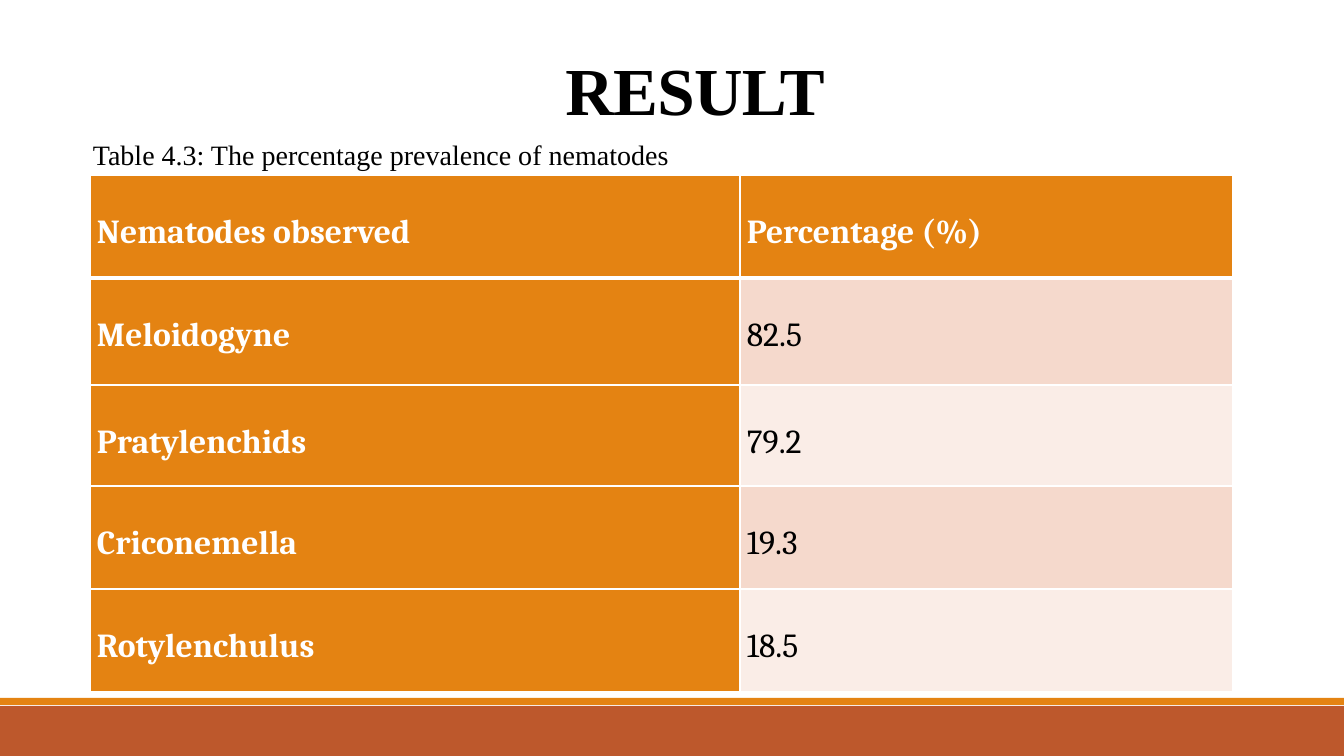
from lxml.etree import SubElement
from pptx import Presentation
from pptx.dml.color import RGBColor
from pptx.enum.shapes import MSO_SHAPE as Shape
from pptx.enum.text import MSO_ANCHOR as Anchor, MSO_AUTO_SIZE as AutoSize, PP_ALIGN as Align
from pptx.oxml import parse_xml
from pptx.oxml.ns import nsdecls, qn
from pptx.util import Pt

SCALE = 914400 / 100.8
COLORS = {
    "white": "FFFFFF", "black": "000000", "orange": "E48312",
    "rust": "BD582C", "band": "F5D9CC", "light band": "FAEDE7",
}


def px(length):
    return round(length * SCALE)


class ResultSlide:
    heading_font = "Times New Roman"
    table_font = "Cambria"

    def __init__(self, deck):
        self.slide = deck.slides.add_slide(deck.slide_layouts[5])

    def color(self, name):
        return RGBColor.from_string(COLORS[name])

    def add_text(self, paragraph, text, font, size, color="black", bold=False, align=Align.JUSTIFY):
        paragraph.alignment = align
        run = paragraph.add_run()
        run.text = text
        run.font.name, run.font.size, run.font.bold = font, Pt(size), bold
        run.font.color.rgb = self.color(color)
        return run

    def bar(self, top, height, color):
        bar = self.slide.shapes.add_shape(Shape.RECTANGLE, 0, px(top), px(1344), px(height))
        bar.shadow.inherit = False
        bar.fill.solid()
        bar.fill.fore_color.rgb = self.color(color)
        bar.line.fill.background()

    def title(self, text, left, top, width, height):
        title = self.slide.shapes.title
        title.left, title.top, title.width, title.height = map(px, (left, top, width, height))
        frame = title.text_frame
        frame.vertical_anchor, frame.auto_size = Anchor.BOTTOM, AutoSize.NONE
        heading = frame.paragraphs[0]
        heading.line_spacing = 0.85
        run = self.add_text(heading, text, self.heading_font, 48, bold=True, align=Align.CENTER)
        run._r.get_or_add_rPr().set("spc", "-50")

    def caption(self, text, left, top, width, height):
        caption = self.slide.shapes.add_textbox(*map(px, (left, top, width, height)))
        frame = caption.text_frame
        frame.word_wrap, frame.vertical_anchor = False, Anchor.MIDDLE
        frame.auto_size = AutoSize.SHAPE_TO_FIT_TEXT
        self.add_text(frame.paragraphs[0], text, self.heading_font, 20)

    def borders(self, cell, bottom):
        properties = cell._tc.get_or_add_tcPr()
        widths = {"lnL": 1, "lnR": 1, "lnT": 1, "lnB": bottom}
        for index, (side, width) in enumerate(widths.items()):
            line = parse_xml(f'<a:{side} {nsdecls("a")} w="{Pt(width)}"/>')
            fill = SubElement(line, qn("a:solidFill"))
            SubElement(fill, qn("a:srgbClr"), val=COLORS["white"])
            properties.insert(index, line)

    def cell(self, cell, text, fill, color, bold, bottom):
        cell.fill.solid()
        cell.fill.fore_color.rgb = self.color(fill)
        cell.margin_left = cell.margin_right = px(7)
        cell.margin_top = cell.margin_bottom = 0
        entry = cell.text_frame.paragraphs[0]
        entry.line_spacing, entry.space_before = 2.0, Pt(12)
        self.add_text(entry, text, self.table_font, 24, color, bold)
        self.borders(cell, bottom)

    def table(self, rows, left, top, widths, heights):
        table = self.slide.shapes.add_table(
            len(rows), len(widths), px(left), px(top), px(sum(widths)), px(sum(heights))).table
        for column, width in zip(table.columns, widths):
            column.width = px(width)
        for row, height in zip(table.rows, heights):
            row.height = px(height)
        for r, row in enumerate(rows):
            for c, text in enumerate(row):
                heading = r == 0 or c == 0
                fill = "orange" if heading else "band" if r % 2 else "light band"
                self.cell(table.cell(r, c), text, fill, "white" if heading else "black",
                          heading, 3 if r == 0 else 1)


deck = Presentation()
deck.slide_width, deck.slide_height = px(1344), px(756)
result = ResultSlide(deck)

# Footer bars
result.bar(706, 50, "rust")
result.bar(698, 7, "orange")

# Heading
result.title("RESULT", 90, 39, 1210, 95)

# Prevalence table and its caption
prevalence = [
    ("Nematodes observed", "Percentage (%)"),
    ("Meloidogyne", "82.5"),
    ("Pratylenchids", "79.2"),
    ("Criconemella", "19.3"),
    ("Rotylenchulus", "18.5"),
]
result.table(prevalence, 90, 175, (650, 493), (103, 107, 101, 103, 103))
result.caption("Table 4.3: The percentage prevalence of nematodes", 83, 132, 601, 44)

deck.save("out.pptx")
